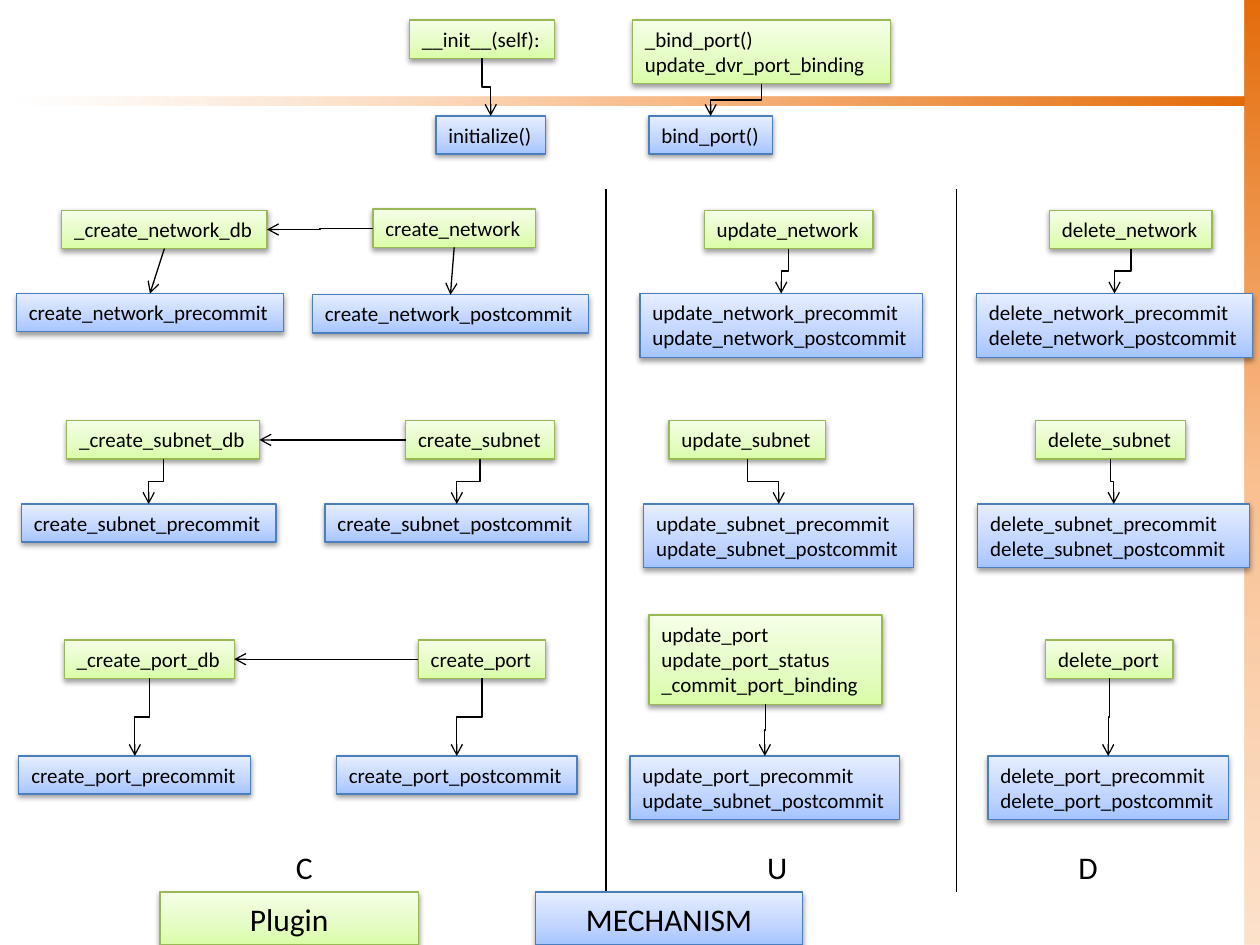
from dataclasses import dataclass

from pptx import Presentation
from pptx.dml.color import RGBColor
from pptx.enum.shapes import MSO_CONNECTOR, MSO_SHAPE
from pptx.enum.text import MSO_ANCHOR, MSO_AUTO_SIZE, PP_ALIGN
from pptx.oxml import parse_xml
from pptx.oxml.ns import nsdecls, qn
from pptx.util import Emu, Inches, Pt

# Slide grid: 100 columns by 75 rows of square cells
WIDTH, HEIGHT = Inches(10), Inches(7.5)
CELL = WIDTH / 100

BLACK = RGBColor(0x00, 0x00, 0x00)
GREEN_LINE = RGBColor(0x98, 0xB9, 0x55)
BLUE_LINE = RGBColor(0x4B, 0x7E, 0xBC)
# Gradient stops: position %, colour, opacity %
GREEN_STOPS = ((0, RGBColor(0xDA, 0xFD, 0xA7), 100),
               (35, RGBColor(0xE4, 0xFC, 0xC2), 100),
               (100, RGBColor(0xF5, 0xFF, 0xE7), 100))
BLUE_STOPS = ((0, RGBColor(0xA4, 0xC4, 0xFF), 100),
              (35, RGBColor(0xBF, 0xD4, 0xFF), 100),
              (100, RGBColor(0xE6, 0xEE, 0xFF), 100))
ORANGE = RGBColor(0xE4, 0x6C, 0x0A)
PEACH = RGBColor(0xFA, 0xC0, 0x90)
PALE = RGBColor(0xFC, 0xD5, 0xB5)


@dataclass(frozen=True)
class Style:
    stops: tuple
    line: RGBColor


@dataclass(frozen=True)
class Box:
    text: str
    col: float
    row: float
    cols: float


@dataclass(frozen=True)
class Flow:
    """A plugin box whose arrow leads down to a mechanism box."""
    plugin: Box
    mechanism: Box
    straight: bool = False


PLUGIN = Style(GREEN_STOPS, GREEN_LINE)
MECHANISM = Style(BLUE_STOPS, BLUE_LINE)

START_FLOWS = [
    Flow(Box("__init__(self):", 32.5, 1.6, 11.5), Box("initialize()", 34.6, 9.2, 8.7)),
    Flow(Box("_bind_port()\nupdate_dvr_port_binding", 50.2, 1.6, 20.5),
         Box("bind_port()", 51.5, 9.2, 9.8)),
]

# Each resource: database step, create, update, delete
RESOURCE_FLOWS = [
    [Flow(Box("_create_network_db", 4.9, 16.7, 16.3),
          Box("create_network_precommit", 1.3, 23.3, 21.2), straight=True),
     Flow(Box("create_network", 29.6, 16.6, 12.9),
          Box("create_network_postcommit", 24.8, 23.4, 21.9), straight=True),
     Flow(Box("update_network", 55.9, 16.7, 13.4),
          Box("update_network_precommit\nupdate_network_postcommit", 50.8, 23.3, 22.4)),
     Flow(Box("delete_network", 83.3, 16.7, 12.9),
          Box("delete_network_precommit\ndelete_network_postcommit", 77.5, 23.3, 21.9))],
    [Flow(Box("_create_subnet_db", 5.3, 33.4, 15.3),
          Box("create_subnet_precommit", 1.7, 40, 20.2)),
     Flow(Box("create_subnet", 32.2, 33.4, 11.8),
          Box("create_subnet_postcommit", 25.8, 40, 20.9)),
     Flow(Box("update_subnet", 53.1, 33.4, 12.4),
          Box("update_subnet_precommit\nupdate_subnet_postcommit", 51.1, 40, 21.4)),
     Flow(Box("delete_subnet", 82.2, 33.4, 11.9),
          Box("delete_subnet_precommit\ndelete_subnet_postcommit", 77.6, 40, 21.6))],
    [Flow(Box("_create_port_db", 5.1, 50.8, 13.5),
          Box("create_port_precommit", 1.5, 60, 18.4)),
     Flow(Box("create_port", 33.2, 50.8, 10.1),
          Box("create_port_postcommit", 26.7, 60, 19.1)),
     Flow(Box("update_port\nupdate_port_status\n_commit_port_binding", 51.5, 48.8, 18.5),
          Box("update_port_precommit\nupdate_subnet_postcommit", 50, 60, 21.4)),
     Flow(Box("delete_port", 83, 50.8, 10.1),
          Box("delete_port_precommit\ndelete_port_postcommit", 78.4, 60, 19.1))],
]


def cells(count: float) -> Emu:
    return Emu(round(count * CELL))


def set_gradient(sp, stops: tuple, angle: int) -> None:
    sp.fill.gradient()
    gs = "".join(
        f'<a:gs pos="{pos * 1000}"><a:srgbClr val="{color}">'
        f'<a:alpha val="{alpha * 1000}"/></a:srgbClr></a:gs>'
        for pos, color, alpha in stops)
    grad = parse_xml(f'<a:gradFill {nsdecls("a")} rotWithShape="1"><a:gsLst>{gs}</a:gsLst>'
                     f'<a:lin ang="{angle * 60000}" scaled="0"/></a:gradFill>')
    spPr = sp._element.spPr
    spPr.replace(spPr.find(qn("a:gradFill")), grad)


def add_rect(shapes, col: float, row: float, cols: float, rows: float,
             stops: tuple, angle: int):
    sp = shapes.add_shape(MSO_SHAPE.RECTANGLE, *map(cells, (col, row, cols, rows)))
    sp.shadow.inherit = False
    set_gradient(sp, stops, angle)
    sp.line.fill.background()
    return sp


def write_text(sp, text: str, *, size: int = 12, align=PP_ALIGN.LEFT,
               anchor=MSO_ANCHOR.TOP, wrap: bool = False) -> None:
    tf = sp.text_frame
    tf.word_wrap = wrap
    tf.auto_size = MSO_AUTO_SIZE.NONE if wrap else MSO_AUTO_SIZE.SHAPE_TO_FIT_TEXT
    tf.vertical_anchor = anchor
    tf.text = text
    for p in tf.paragraphs:
        p.alignment = align
        p.font.size = Pt(size)
        p.font.name = "Calibri"
        p.font.color.rgb = BLACK


def add_box(shapes, box: Box, style: Style, rows: float = 0, **text_format):
    lines = box.text.count("\n") + 1
    sp = add_rect(shapes, box.col, box.row, box.cols, rows or 1 + 2.03 * lines,
                  style.stops, 270)
    sp.line.color.rgb = style.line
    sp.line.width = Pt(0.75)
    sp._element.spPr.find(qn("a:effectLst")).append(parse_xml(
        f'<a:outerShdw {nsdecls("a")} blurRad="40000" dist="20000" dir="5400000" '
        'rotWithShape="0"><a:srgbClr val="000000"><a:alpha val="38000"/></a:srgbClr>'
        '</a:outerShdw>'))
    write_text(sp, box.text, **text_format)
    return sp


def add_line(shapes, kind, ends: tuple = (0, 0, 0, 0), arrow: bool = False):
    c = shapes.add_connector(kind, *map(cells, ends))
    c.line.color.rgb = BLACK
    c.line.width = Pt(0.75)
    spPr = c._element.spPr
    if arrow:
        spPr.find(qn("a:ln")).append(parse_xml(f'<a:tailEnd {nsdecls("a")} type="arrow"/>'))
    spPr.append(parse_xml(f'<a:effectLst {nsdecls("a")}/>'))
    return c


def link(shapes, source, target, sites: tuple, kind=MSO_CONNECTOR.ELBOW):
    c = add_line(shapes, kind, arrow=True)
    c.begin_connect(source, sites[0])
    c.end_connect(target, sites[1])
    return c


def link_down(shapes, source, target, straight: bool) -> None:
    if straight:
        link(shapes, source, target, (2, 0), MSO_CONNECTOR.STRAIGHT)
        return
    c = link(shapes, source, target, (2, 0))
    # Turn the elbow so that it leaves and arrives vertically
    dx, dy = c.end_x - c.begin_x, c.end_y - c.begin_y
    mid_x, mid_y = (c.begin_x + c.end_x) // 2, (c.begin_y + c.end_y) // 2
    c.left, c.top = Emu(mid_x - dy // 2), Emu(mid_y - abs(dx) // 2)
    c.width, c.height = Emu(dy), Emu(abs(dx))
    xfrm = c._element.spPr.find(qn("a:xfrm"))
    xfrm.set("rot", str((270 if dx > 0 else 90) * 60000))
    xfrm.set("flipH", "1" if dx > 0 else "0")
    xfrm.set("flipV", "0")


def main() -> None:
    prs = Presentation()
    prs.slide_width, prs.slide_height = WIDTH, HEIGHT
    shapes = prs.slides.add_slide(prs.slide_layouts[6]).shapes

    # Orange bars
    add_rect(shapes, 98.8, 0, 1.2, 75, ((0, ORANGE, 100), (50, PEACH, 100), (100, PALE, 69)), 90)
    bar = add_rect(shapes, 1.2, 7.7, 97.6, 0.7,
                   ((0, ORANGE, 100), (50, PEACH, 100), (100, PALE, 0)), 0)
    bar.rotation = 180

    # Boxes
    flows = START_FLOWS + [flow for group in RESOURCE_FLOWS for flow in group]
    mechanisms = [add_box(shapes, flow.mechanism, MECHANISM) for flow in flows]
    plugins = [add_box(shapes, flow.plugin, PLUGIN) for flow in flows]

    # Column dividers and letters
    for col in (48.1, 75.9):
        add_line(shapes, MSO_CONNECTOR.STRAIGHT, (col, 15, col, 70.8))
    for letter, col in (("C", 22.5), ("U", 59.9), ("D", 84.6)):
        write_text(shapes.add_textbox(*map(cells, (col, 66.8, 3.8, 4))), letter, size=18)

    # Legend
    for box, style in ((Box("Plugin", 12.7, 70.8, 20.5), PLUGIN),
                       (Box("MECHANISM", 42.5, 70.8, 21.2), MECHANISM)):
        add_box(shapes, box, style, rows=4.2, size=18, align=PP_ALIGN.CENTER,
                anchor=MSO_ANCHOR.MIDDLE, wrap=True)

    # Arrows: plugin to mechanism, then create to its database step
    for flow, plugin, mechanism in zip(flows, plugins, mechanisms):
        link_down(shapes, plugin, mechanism, flow.straight)
    for first in range(len(START_FLOWS), len(flows), 4):
        link(shapes, plugins[first + 1], plugins[first], (1, 3))

    prs.save("out.pptx")


if __name__ == "__main__":
    main()
